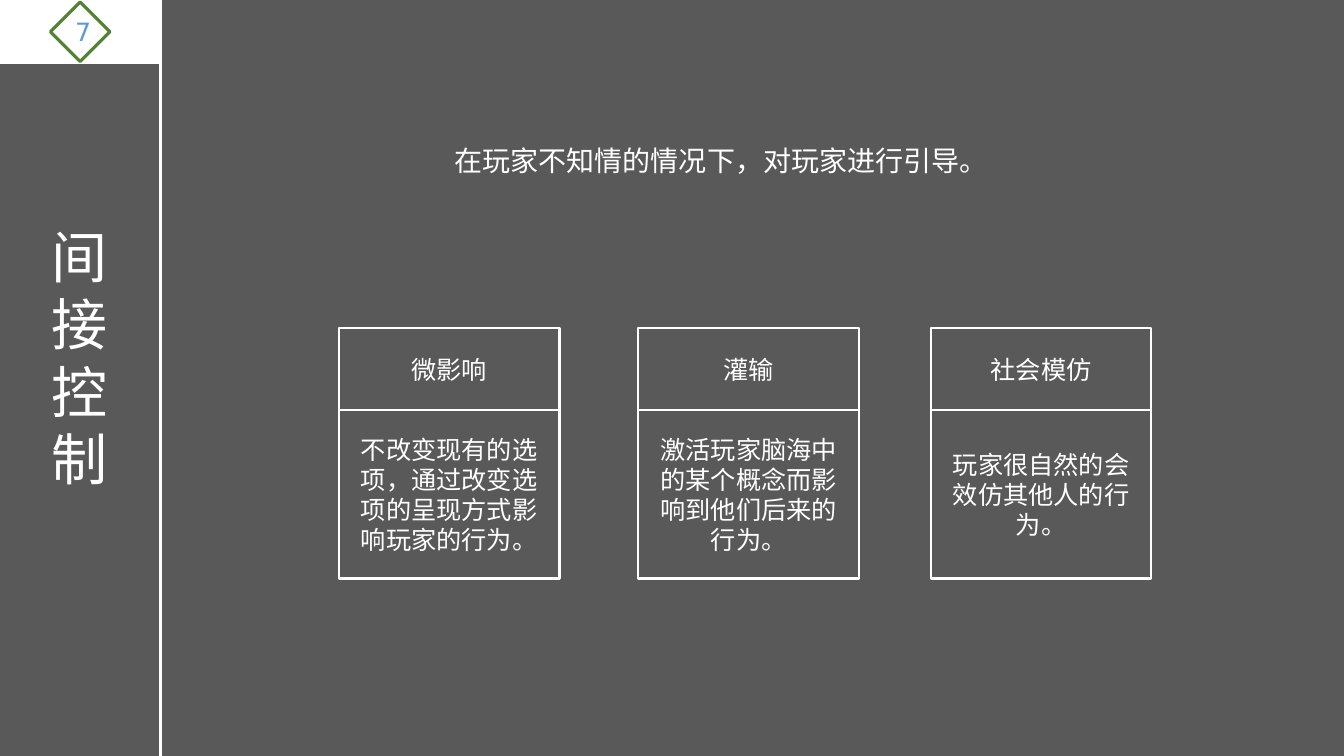
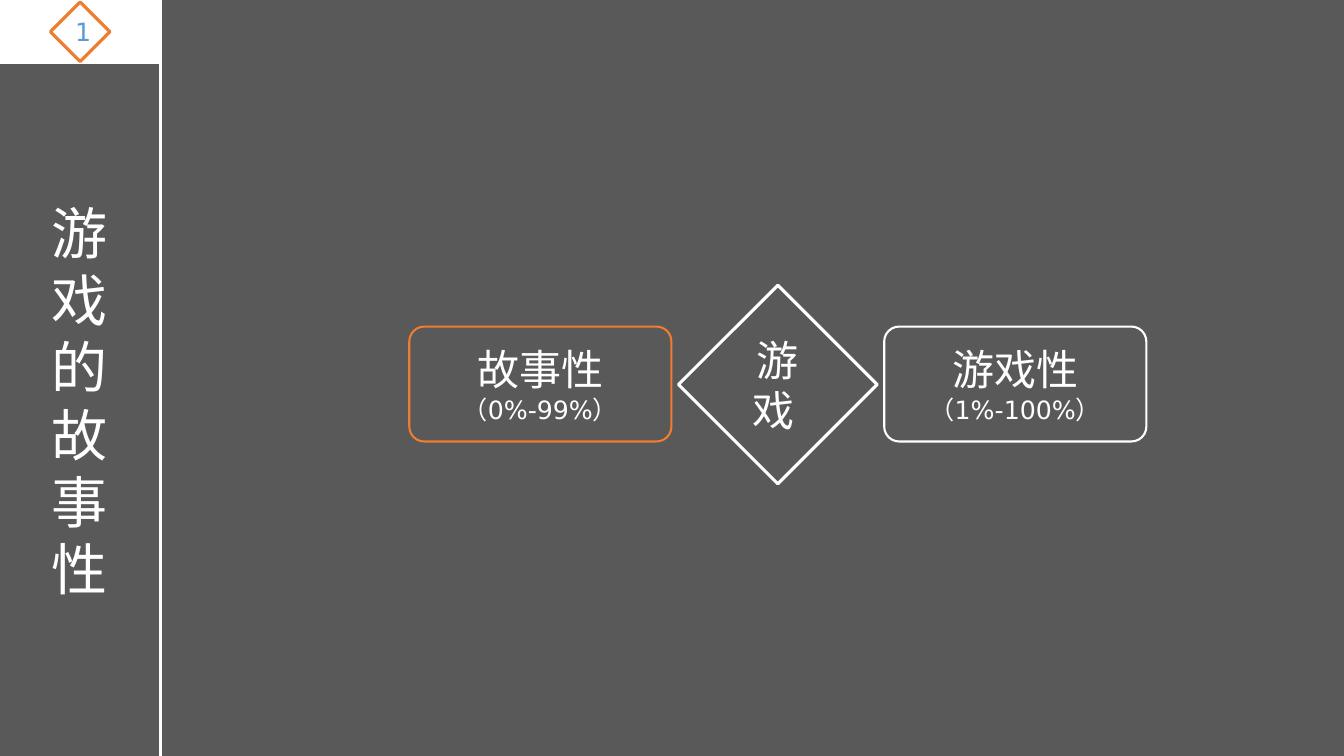
from dataclasses import dataclass

from lxml import etree
from pptx import Presentation
from pptx.dml.color import RGBColor
from pptx.enum.shapes import MSO_CONNECTOR, MSO_SHAPE
from pptx.enum.text import MSO_ANCHOR, MSO_AUTO_SIZE, PP_ALIGN
from pptx.oxml.ns import qn
from pptx.util import Inches, Pt

LEFT, CENTER = PP_ALIGN.LEFT, PP_ALIGN.CENTER
TOP, MIDDLE = MSO_ANCHOR.TOP, MSO_ANCHOR.MIDDLE
RECT, ROUNDED, DIAMOND = MSO_SHAPE.RECTANGLE, MSO_SHAPE.ROUNDED_RECTANGLE, MSO_SHAPE.DIAMOND


@dataclass(frozen=True)
class Theme:
    font: str = "DejaVu Sans"
    background: RGBColor = RGBColor(0x59, 0x59, 0x59)
    white: RGBColor = RGBColor(0xFF, 0xFF, 0xFF)
    green: RGBColor = RGBColor(0x54, 0x82, 0x35)
    orange: RGBColor = RGBColor(0xED, 0x7D, 0x31)
    blue: RGBColor = RGBColor(0x5B, 0x9B, 0xD5)
    title: Pt = Pt(40)
    heading: Pt = Pt(30)
    lead: Pt = Pt(20)
    body: Pt = Pt(18)
    thin: Pt = Pt(1.5)
    thick: Pt = Pt(2.25)


theme = Theme()


def write(frame, lines, color=theme.white, align=CENTER, anchor=MIDDLE):
    """Fill a text frame with one paragraph per (text, size) pair."""
    frame.word_wrap = True
    frame.auto_size = MSO_AUTO_SIZE.NONE
    frame.vertical_anchor = anchor
    for index, (text, size) in enumerate(lines):
        paragraph = frame.add_paragraph() if index else frame.paragraphs[0]
        paragraph.alignment = align
        run = paragraph.add_run()
        run.text = text
        run.font.name = theme.font
        run.font.size = size
        run.font.color.rgb = color


def outline(slide, kind, box, color=theme.white, width=theme.thin):
    """Add an unfilled shape with a coloured outline."""
    shape = slide.shapes.add_shape(kind, *map(Inches, box))
    shape.shadow.inherit = False
    shape.fill.background()
    shape.line.color.rgb = color
    shape.line.width = width
    return shape


prs = Presentation()
prs.slide_width, prs.slide_height = Inches(13.33), Inches(7.5)
background = prs.slide_master.background.fill
background.solid()
background.fore_color.rgb = theme.background
title_only = prs.slide_layouts[5]

# Sidebar shared by all slides: title, divider, white band, numbered diamond
SIDEBAR = 1.59
sections = [
    ("间接控制", 2.16, 2.79, "7", theme.green),
    ("游戏的故事性", 1.92, 4.14, "1", theme.orange),
]
slides = []
for heading, top, height, number, accent in sections:
    slide = prs.slides.add_slide(title_only)
    slides.append(slide)

    title = slide.shapes.title
    title.left, title.top = Inches(0.28), Inches(top)
    title.width, title.height = Inches(1.02), Inches(height)
    write(title.text_frame, [(heading, theme.title)], anchor=TOP)

    divider = slide.shapes.add_connector(
        MSO_CONNECTOR.STRAIGHT, Inches(SIDEBAR), 0, Inches(SIDEBAR), prs.slide_height)
    divider.line.color.rgb = theme.white
    divider.line.width = theme.thick
    etree.SubElement(divider.line._get_or_add_ln().getparent(), qn("a:effectLst"))

    band = outline(slide, RECT, (0, 0, SIDEBAR, 0.63))
    band.fill.solid()
    band.fill.fore_color.rgb = theme.white
    badge = outline(slide, DIAMOND, (0.5, 0.02, 0.59, 0.59), accent, theme.thick)
    write(badge.text_frame, [(number, theme.body)], theme.blue)

control_slide, story_slide = slides

# Indirect control: lead sentence
lead = control_slide.shapes.add_textbox(Inches(4.41), Inches(1.29), Inches(7.11), Inches(0.52))
write(lead.text_frame, [("在玩家不知情的情况下，对玩家进行引导。", theme.lead)], align=LEFT, anchor=TOP)
lead.text_frame.paragraphs[0].line_spacing = Pt(30)

# Indirect control: three cards, each a heading above a description
CARD_TOP, CARD_WIDTH, HEAD_HEIGHT, BODY_HEIGHT = 3.25, 2.19, 0.82, 1.67
cards = [
    (3.36, "微影响", "不改变现有的选项，通过改变选项的呈现方式影响玩家的行为。"),
    (6.33, "灌输", "激活玩家脑海中的某个概念而影响到他们后来的行为。"),
    (9.23, "社会模仿", "玩家很自然的会效仿其他人的行为。"),
]
for left, method, description in cards:
    head = outline(control_slide, RECT, (left, CARD_TOP, CARD_WIDTH, HEAD_HEIGHT))
    write(head.text_frame, [(method, theme.body)])
    body = outline(control_slide, RECT, (left, CARD_TOP + HEAD_HEIGHT, CARD_WIDTH, BODY_HEIGHT))
    write(body.text_frame, [(description, theme.body)])

# Story in games: two qualities on either side of the game
qualities = [
    (4.06, "故事性", "（0%-99%）", theme.orange),
    (8.77, "游戏性", "（1%-100%）", theme.white),
]
for left, quality, share, color in qualities:
    panel = outline(story_slide, ROUNDED, (left, 3.24, 2.6, 1.14), color)
    panel.adjustments[0] = 0.13
    write(panel.text_frame, [(quality, theme.heading), (share, theme.body)])

game = outline(story_slide, DIAMOND, (6.73, 2.83, 1.97, 1.97), width=theme.thick)
write(game.text_frame, [("游戏 ", theme.heading)])

prs.save("out.pptx")
